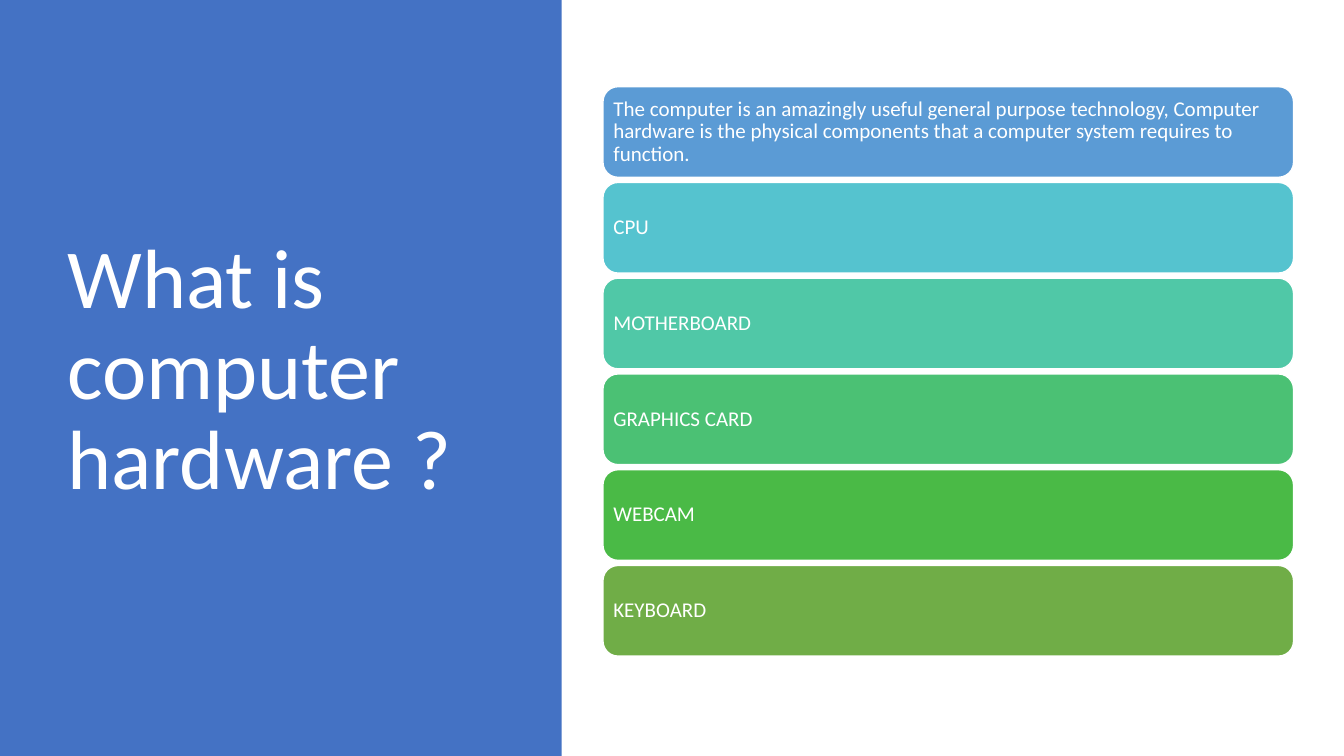
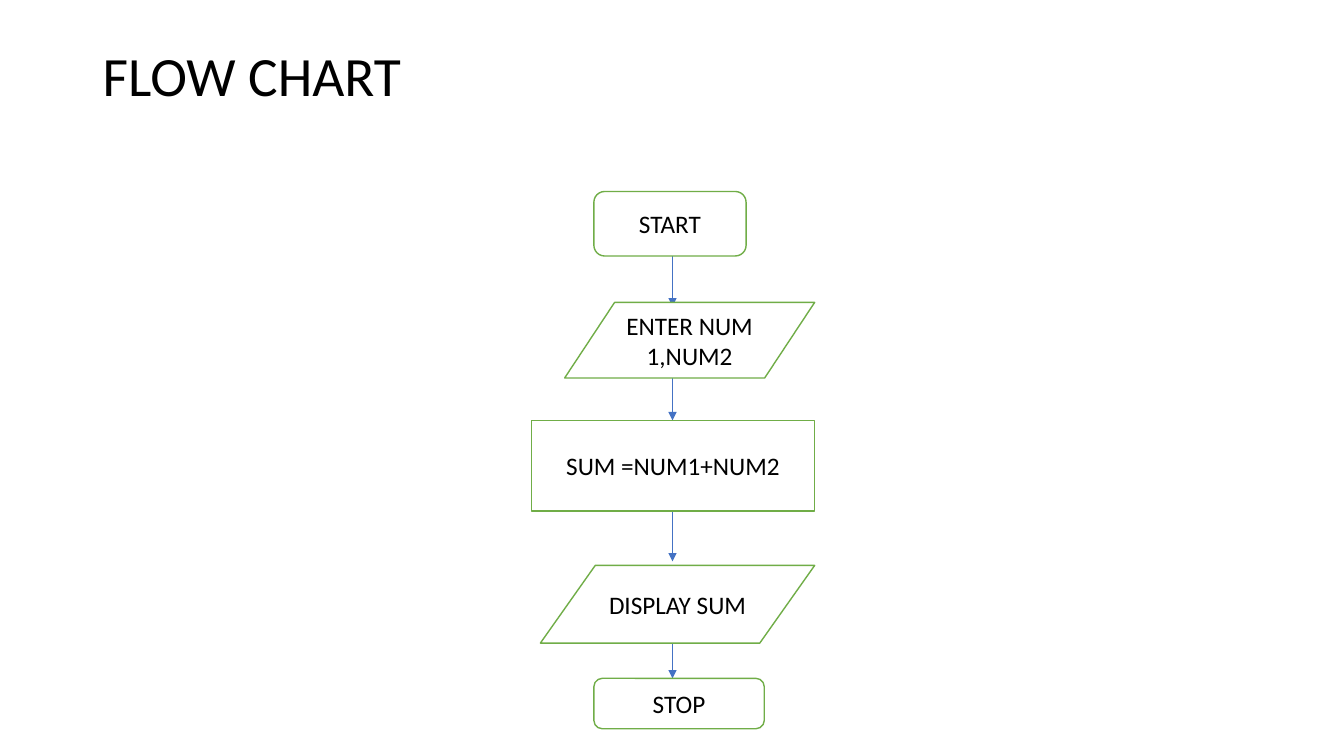
"""Build two slides: a hardware list and an addition flow chart."""
from lxml import etree
from pptx import Presentation
from pptx.dml.color import RGBColor
from pptx.enum.shapes import MSO_CONNECTOR as Connector, MSO_SHAPE as Shape
from pptx.enum.text import MSO_ANCHOR as Anchor, PP_ALIGN as Align
from pptx.oxml.ns import qn
from pptx.util import Inches, Pt

FONT = "Calibri"
COLORS = {"white": "FFFFFF", "black": "000000", "blue": "4472C4", "green": "70AD47"}

HARDWARE_TITLE = "What is computer hardware ?"
HARDWARE = [
    ("The computer is an amazingly useful general purpose technology, Computer "
     "hardware is the physical components that a computer system requires to function.",
     "5B9BD5"),
    ("CPU", "55C3CF"),
    ("MOTHERBOARD", "50C8A7"),
    ("GRAPHICS CARD", "4BC174"),
    ("WEBCAM", "4ABA46"),
    ("KEYBOARD", COLORS["green"]),
]
CARD_LEFT, CARD_TOP, CARD_WIDTH, CARD_HEIGHT, CARD_STEP = 5.98, 0.86, 6.85, 0.9, 0.95

FLOW_TITLE = "FLOW CHART"
FLOW_STEPS = [
    ("START", Shape.ROUNDED_RECTANGLE, (5.89, 1.9, 1.51, 0.64)),
    ("ENTER NUM 1,NUM2", Shape.FLOWCHART_DATA, (5.6, 3, 2.48, 0.75)),
    ("SUM =NUM1+NUM2", Shape.RECTANGLE, (5.27, 4.17, 2.81, 0.9)),
    ("DISPLAY SUM", Shape.FLOWCHART_DATA, (5.36, 5.61, 2.72, 0.77)),
    ("STOP", Shape.ROUNDED_RECTANGLE, (5.89, 6.73, 1.69, 0.5)),
]
ARROW_X = 6.67
ARROWS = [(2.53, 3.04), (3.68, 4.17), (5.06, 5.57), (6.38, 6.73)]


def rgb(value):
    return RGBColor.from_string(value)


def write(box, text, size, color, align=Align.LEFT, spacing=1.0):
    frame = box.text_frame
    frame.word_wrap = True
    frame.vertical_anchor = Anchor.MIDDLE
    frame.text = text
    para = frame.paragraphs[0]
    para.alignment = align
    para.line_spacing = spacing
    for span in para.runs:
        span.font.name = FONT
        span.font.size = Pt(size)
        span.font.color.rgb = rgb(color)
    return frame


def add_title(page, text, place, size, color):
    box = page.shapes.add_textbox(*map(Inches, place))
    return write(box, text, size, color, spacing=0.9)


def add_box(page, kind, place, fill, line=None):
    box = page.shapes.add_shape(kind, *map(Inches, place))
    box.shadow.inherit = False
    box.fill.solid()
    box.fill.fore_color.rgb = rgb(fill)
    if line:
        box.line.color.rgb = rgb(line)
        box.line.width = Pt(1)
    else:
        box.line.fill.background()
    return box


def add_arrow(page, top, bottom):
    arrow = page.shapes.add_connector(
        Connector.STRAIGHT, *map(Inches, (ARROW_X, top, ARROW_X, bottom)))
    arrow.line.color.rgb = rgb(COLORS["blue"])
    arrow.line.width = Pt(0.5)
    etree.SubElement(arrow.line._get_or_add_ln(), qn("a:tailEnd"), type="triangle")
    etree.SubElement(arrow._element.spPr, qn("a:effectLst"))


def build_hardware(page):
    add_box(page, Shape.RECTANGLE, (0, 0, 5.57, 7.5), COLORS["blue"])
    add_title(page, HARDWARE_TITLE, (0.57, 0.68, 4.16, 6.02), 60, COLORS["white"])
    for index, (text, fill) in enumerate(HARDWARE):
        place = (CARD_LEFT, CARD_TOP + index * CARD_STEP, CARD_WIDTH, CARD_HEIGHT)
        card = add_box(page, Shape.ROUNDED_RECTANGLE, place, fill, COLORS["white"])
        frame = write(card, text, 15, COLORS["white"], spacing=0.9)
        frame.margin_left = frame.margin_right = Inches(0.06)


def build_flow(page):
    frame = add_title(page, FLOW_TITLE, (0.92, 0.55, 11.15, 1.06), 39.6, COLORS["black"])
    frame.margin_bottom = Inches(0.65)
    for top, bottom in ARROWS:
        add_arrow(page, top, bottom)
    for text, kind, place in FLOW_STEPS:
        box = add_box(page, kind, place, COLORS["white"], COLORS["green"])
        write(box, text, 18, COLORS["black"], Align.CENTER)


deck = Presentation()
deck.slide_width, deck.slide_height = Inches(13.33), Inches(7.5)
for build in (build_hardware, build_flow):
    build(deck.slides.add_slide(deck.slide_layouts[6]))
deck.save("out.pptx")
